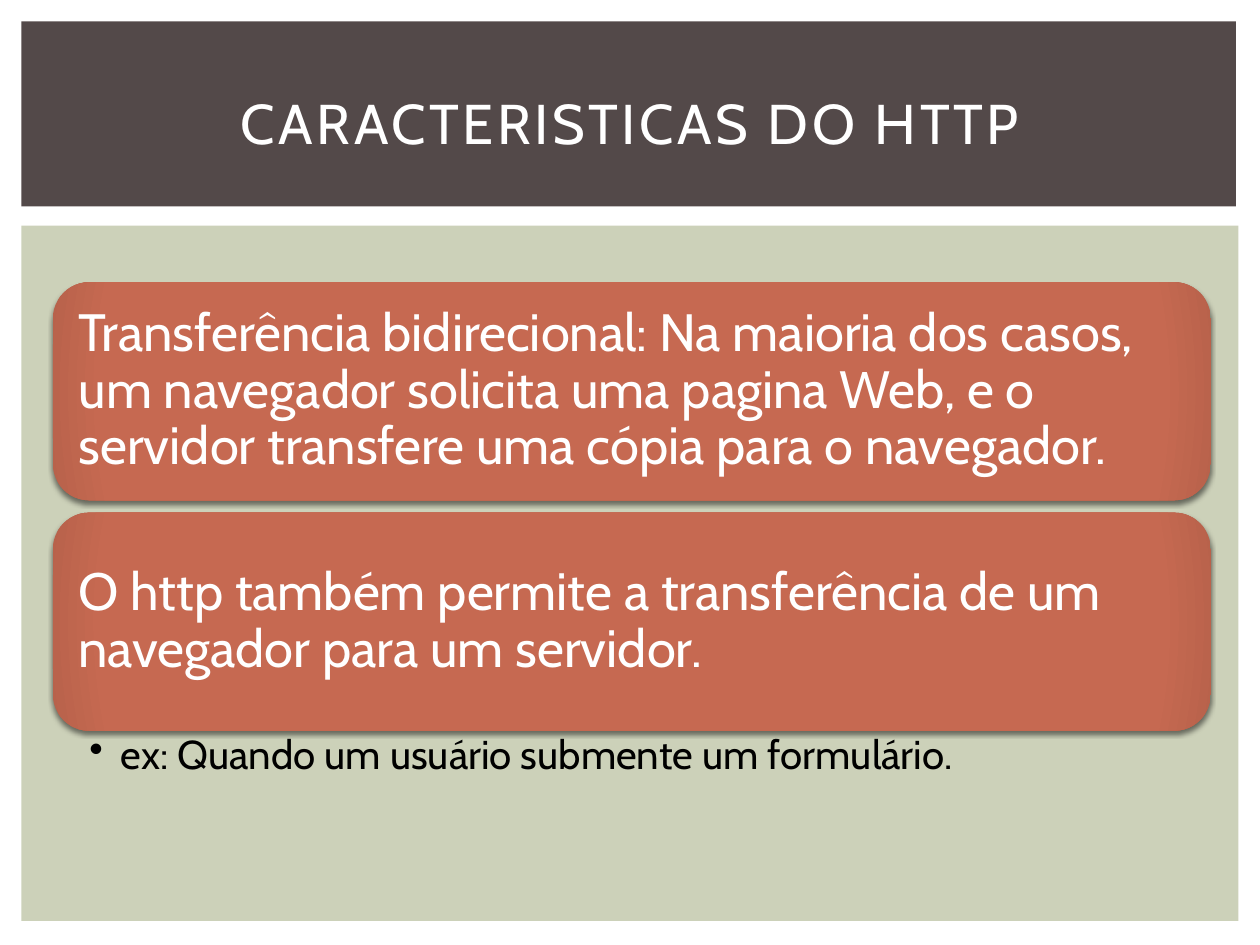
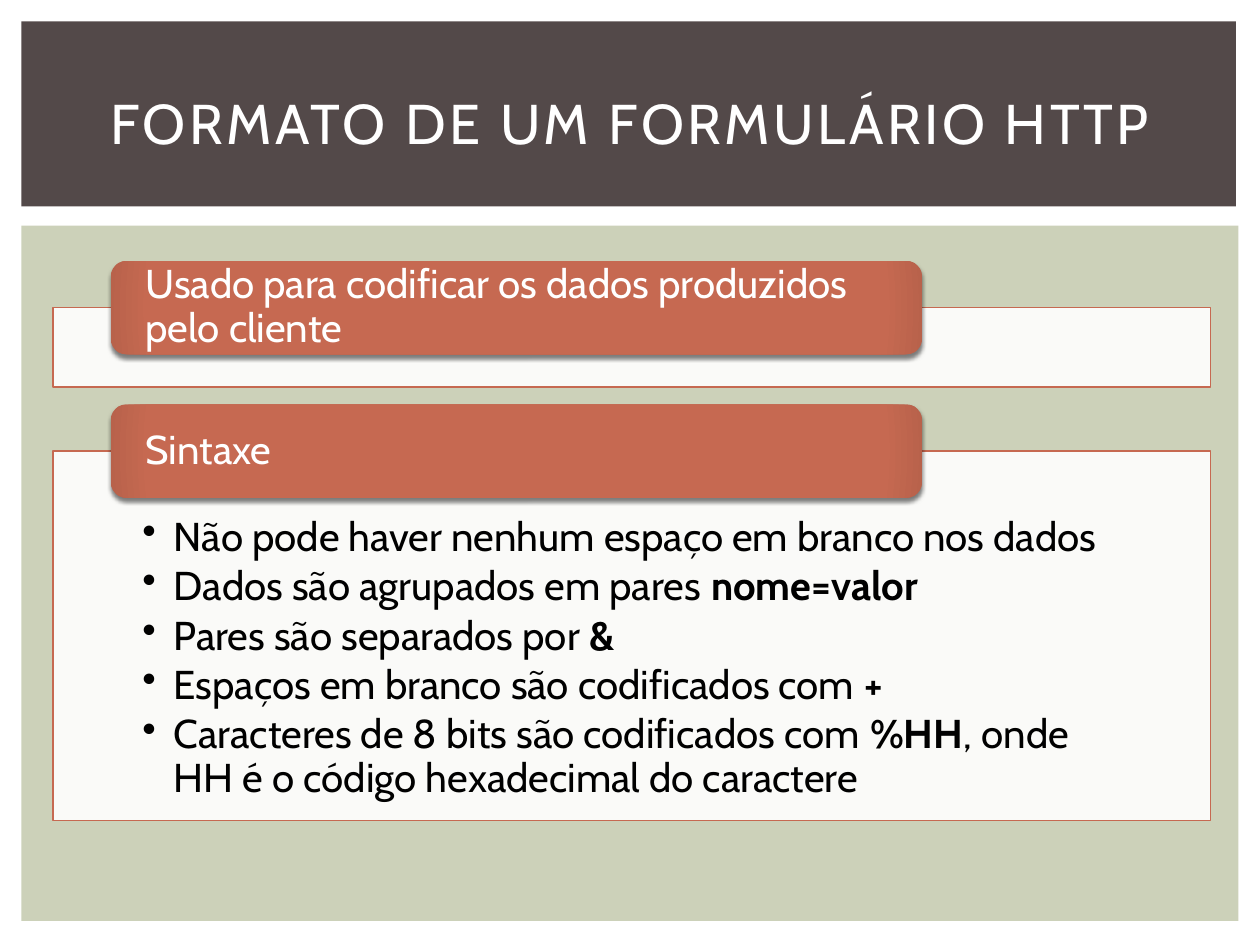
"""Build two slides about HTTP, with shared bands, title style and boxes."""
import dataclasses
import typing

import pptx
import pptx.dml.color
import pptx.enum.shapes
import pptx.enum.text
import pptx.oxml
import pptx.oxml.ns
import pptx.util

Pt = pptx.util.Pt
Kind = pptx.enum.shapes.MSO_SHAPE
Anchor = pptx.enum.text.MSO_ANCHOR
Align = pptx.enum.text.PP_ALIGN
qn = pptx.oxml.ns.qn

COLORS = {
    "sage": "CCD1B9", "brown": "534949", "clay": "C66951",
    "rust": "B8624B", "white": "FFFFFF", "black": "000000",
}
FONT = "Cabin"
LEFT, WIDE = 30.2, 661.7
CARD_TOP, CARD_HIGH, CARD_STEP = 161.3, 124.6, 131.7
HEAD_IN, HEAD_UP, HEAD_WIDE, HEAD_HIGH = 33.1, 26.6, 463.7, 53.3
FRAME = ("margin_left", "margin_top", "margin_right", "margin_bottom")


@dataclasses.dataclass
class Box:
    """A place on the slide, in points."""
    left: float
    top: float
    width: float
    height: float

    def place(self) -> list:
        """Return the four lengths."""
        return [Pt(v) for v in dataclasses.astuple(self)]


@dataclasses.dataclass
class Copy:
    """Lines of text with their format; bold words stand between asterisks."""
    lines: list[str]
    size: float
    color: str
    insets: tuple
    anchor: typing.Any = Anchor.MIDDLE
    after: float = 0
    bullet: bool = False


@dataclasses.dataclass
class Panel:
    """A white panel with a heading on its top edge."""
    top: float
    height: float
    head: str
    lines: list[str]


BANDS = [(Box(12.24, 128.9, 695.5, 397.4), "sage"),
         (Box(12.24, 12.24, 694.1, 105.8), "brown")]
TITLE = Box(30.2, 28.1, 660.2, 82.8)
CARDS = [
    "Transferência bidirecional: Na maioria dos casos, um navegador solicita "
    "uma pagina Web, e o servidor transfere uma cópia para o navegador.",
    "O http também permite a transferência de um navegador para um servidor.",
]
PANELS = [
    Panel(175.8, 45.4, "Usado para codificar os dados produzidos pelo cliente", []),
    Panel(257.8, 211, "Sintaxe", [
        "Não pode haver nenhum espaço em branco nos dados",
        "Dados são agrupados em pares *nome=valor*",
        "Pares são separados por *&*",
        "Espaços em branco são codificados com *+*",
        "Caracteres de 8 bits são codificados com *%HH*, onde HH é o código "
        "hexadecimal do caractere",
    ]),
]


def rgb(name: str) -> pptx.dml.color.RGBColor:
    """Look up a colour."""
    return pptx.dml.color.RGBColor.from_string(COLORS[name])


def put(item: typing.Any, values: dict) -> None:
    """Set attributes from a dict."""
    for name, value in values.items():
        setattr(item, name, value)


def node(text: str) -> typing.Any:
    """Make a drawing element."""
    tag, rest = text[1:].split(" ", 1)
    return pptx.oxml.parse_xml(f"<{tag} {pptx.oxml.ns.nsdecls('a')} {rest}")


def style(run: typing.Any, size: float, color: str, bold: bool = False) -> None:
    """Set the font of a run."""
    put(run.font, {"name": FONT, "size": Pt(size), "bold": bold})
    run.font.color.rgb = rgb(color)


def write(shape: typing.Any, copy: Copy) -> None:
    """Write text into a shape."""
    frame = shape.text_frame
    put(frame, {"word_wrap": True, "vertical_anchor": copy.anchor})
    put(frame, {name: Pt(v) for name, v in zip(FRAME, copy.insets)})
    for at, line in enumerate(copy.lines):
        para = frame.paragraphs[0] if at == 0 else frame.add_paragraph()
        put(para, {"alignment": Align.LEFT, "line_spacing": 0.9,
                   "space_after": Pt(copy.after)})
        if copy.bullet:
            props = para._p.get_or_add_pPr()
            props.set("marL", str(Pt(18)))
            props.set("indent", str(-Pt(18)))
            props.append(node('<a:buChar char="•"/>'))
        for part, text in enumerate(line.split("*")):
            if text:
                run = para.add_run()
                run.text = text
                style(run, copy.size, copy.color, part % 2 == 1)


def draw(slide: typing.Any, kind: typing.Any, box: Box, fill: str) -> typing.Any:
    """Add a plain shape."""
    shape = slide.shapes.add_shape(kind, *box.place())
    shape.shadow.inherit = False
    shape.fill.solid()
    shape.fill.fore_color.rgb = rgb(fill)
    shape.line.fill.background()
    return shape


def tile(slide: typing.Any, box: Box, copy: Copy) -> None:
    """Add a rounded clay tile with shaded ends and a soft shadow."""
    shape = draw(slide, Kind.ROUNDED_RECTANGLE, box, "clay")
    props = shape.element.spPr
    stops = "".join(f'<a:gs pos="{pos}000"><a:srgbClr val="{COLORS[name]}"/></a:gs>'
                    for pos, name in ((0, "clay"), (90, "clay"), (100, "rust")))
    sides = " ".join(f'{side}="100000"' for side in "ltrb")
    props.replace(props.find(qn("a:solidFill")), node(
        f'<a:gradFill rotWithShape="1"><a:gsLst>{stops}</a:gsLst>'
        f'<a:path path="circle"><a:fillToRect {sides}/></a:path></a:gradFill>'))
    props.find(qn("a:effectLst")).append(node(
        f'<a:outerShdw blurRad="{Pt(2.5)}" dist="{Pt(2)}" dir="5400000" '
        f'rotWithShape="0"><a:srgbClr val="{COLORS["black"]}">'
        '<a:alpha val="50000"/></a:srgbClr></a:outerShdw>'))
    write(shape, copy)


def start(deck: typing.Any, text: str) -> typing.Any:
    """Add a slide with its bands and title."""
    slide = deck.slides.add_slide(deck.slide_layouts[5])
    for box, fill in BANDS:
        draw(slide, Kind.RECTANGLE, box, fill)
    title = slide.shapes.title
    slide.shapes.element.append(title.element)
    put(title, dict(zip(("left", "top", "width", "height"), TITLE.place())))
    put(title.text_frame, {"text": text, "word_wrap": True,
                           "vertical_anchor": Anchor.MIDDLE,
                           "auto_size": pptx.enum.text.MSO_AUTO_SIZE.NONE})
    para = title.text_frame.paragraphs[0]
    para.alignment = Align.CENTER
    style(para.runs[0], 32, "white")
    para.runs[0].font._element.set("spc", "200")
    return slide


def traits(deck: typing.Any) -> None:
    """Build the slide of traits."""
    slide = start(deck, "CARACTERISTICAS DO HTTP")
    for at, text in enumerate(CARDS):
        tile(slide, Box(LEFT, CARD_TOP + at * CARD_STEP, WIDE, CARD_HIGH),
             Copy([text], 30, "white", (8.64,) * 4))
    note = slide.shapes.add_textbox(*Box(LEFT, 416.9, WIDE, 38.9).place())
    write(note, Copy(["ex: Quando um usuário submente um formulário."], 23, "black",
                     (20.9, 2.9, 16.6, 2.9), Anchor.TOP, bullet=True))


def form(deck: typing.Any) -> None:
    """Build the slide of the form format."""
    slide = start(deck, "FORMATO DE UM FORMULÁRIO HTTP")
    for panel in PANELS:
        shape = draw(slide, Kind.RECTANGLE,
                     Box(LEFT, panel.top, WIDE, panel.height), "white")
        tint = shape.element.spPr.find(qn("a:solidFill"))[0]
        tint.append(node('<a:alpha val="90000"/>'))
        shape.line.color.rgb = rgb("clay")
        shape.line.width = Pt(0.79)
        write(shape, Copy(panel.lines, 23, "black", (51.1, 37.4, 51.1, 13),
                          Anchor.TOP, 3.4, True))
        tile(slide, Box(LEFT + HEAD_IN, panel.top - HEAD_UP, HEAD_WIDE, HEAD_HIGH),
             Copy([panel.head], 23, "white", (17.3, 0, 17.3, 0)))


def main() -> None:
    """Build and save the deck."""
    deck = pptx.Presentation()
    put(deck, {"slide_width": Pt(720), "slide_height": Pt(540)})
    traits(deck)
    form(deck)
    deck.save("out.pptx")


if __name__ == "__main__":
    main()
